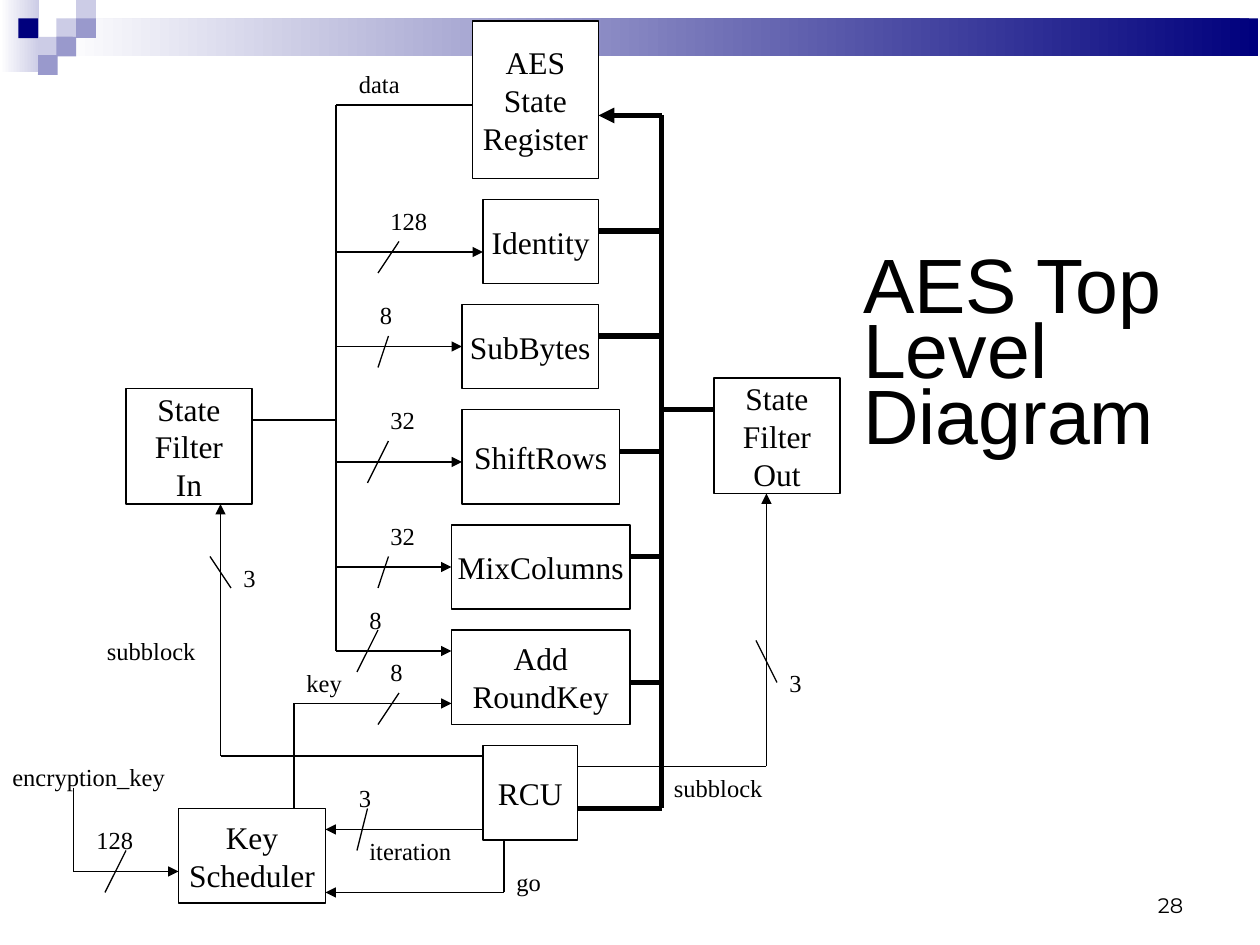
from dataclasses import dataclass
from itertools import pairwise

from pptx import Presentation
from pptx.dml.color import RGBColor
from pptx.enum.shapes import MSO_CONNECTOR, MSO_SHAPE
from pptx.enum.text import MSO_ANCHOR, MSO_AUTO_SIZE, PP_ALIGN
from pptx.oxml.ns import qn
from pptx.util import Emu, Pt
from lxml.etree import SubElement

EMU_PER_PX = 9525
BLACK, WHITE, NAVY = "000000", "FFFFFF", "00007D"
LILAC, VIOLET = "CCCCE6", "9999CC"
SERIF = "Times New Roman"
THIN, THICK = 0.75, 3
DATA_X, BUS_X = 256, 504


@dataclass(frozen=True)
class Tile:
    x: int
    y: int
    width: int
    height: int
    colors: tuple[str, ...]
    corner: float | None = None


@dataclass(frozen=True)
class Block:
    text: str
    x: int
    y: int
    width: int
    height: int


@dataclass(frozen=True)
class Label:
    text: str
    x: int
    y: int
    width: int


@dataclass(frozen=True)
class Wire:
    points: tuple[tuple[int, int], ...]
    arrow: bool = False
    weight: float = THIN


TILES = [
    Tile(0, 0, 30, 55, (LILAC, WHITE)),
    Tile(43, 14, 916, 29, (NAVY, WHITE), 0.006),
    Tile(43, 14, 15, 15, (LILAC,)),
    Tile(58, 0, 15, 15, (LILAC,), 0.012),
    Tile(58, 14, 15, 15, (VIOLET,)),
    Tile(29, 28, 15, 15, (LILAC,)),
    Tile(14, 14, 15, 15, (NAVY,), 0.012),
    Tile(43, 28, 15, 15, (VIOLET,), 0.012),
    Tile(29, 42, 15, 15, (VIOLET,), 0.012),
]

BLOCKS = [
    Block("AES\nState\nRegister", 360, 16, 96, 120),
    Block("Identity", 368, 152, 88, 64),
    Block("SubBytes", 352, 232, 104, 64),
    Block("ShiftRows", 352, 312, 120, 72),
    Block("MixColumns", 344, 400, 136, 64),
    Block("Add\nRoundKey", 344, 480, 136, 72),
    Block("RCU", 368, 568, 72, 72),
    Block("Key\nScheduler", 136, 616, 112, 72),
    Block("State\nFilter\nIn", 96, 296, 96, 88),
    Block("State\nFilter\nOut", 544, 288, 96, 88),
]

DATA_TAPS = [(368, 192), (352, 264), (352, 352), (344, 432)]
BUS_TAPS = [(456, 176), (456, 256), (544, 312), (472, 344), (480, 424)]
SLASHES = [
    ((304, 184), (288, 208)), ((296, 256), (288, 280)), ((296, 336), (280, 368)),
    ((296, 424), (288, 448)), ((288, 480), (272, 512)), ((304, 528), (288, 552)),
    ((280, 616), (272, 648)), ((96, 648), (80, 680)), ((160, 424), (176, 448)),
    ((576, 488), (592, 520)),
]

WIRES = [
    Wire(((360, 80), (DATA_X, 80), (DATA_X, 496), (344, 496)), True),
    *(Wire(((DATA_X, y), (x, y)), True) for x, y in DATA_TAPS),
    Wire(((192, 320), (DATA_X, 320))),
    Wire(((368, 576), (168, 576), (168, 384)), True),
    Wire(((440, 584), (584, 584), (584, 376)), True),
    Wire(((368, 632), (248, 632)), True),
    Wire(((384, 640), (384, 680), (248, 680)), True),
    Wire(((56, 600), (56, 664), (136, 664)), True),
    Wire(((224, 616), (224, 536), (344, 536)), True),
    Wire(((480, 520), (BUS_X, 520), (BUS_X, 88), (456, 88)), True, THICK),
    Wire(((440, 616), (BUS_X, 616), (BUS_X, 520)), False, THICK),
    *(Wire(((x, y), (BUS_X, y)), False, THICK) for x, y in BUS_TAPS),
    *(Wire(slash) for slash in SLASHES),
]

LABELS = [
    Label("data", 264, 48, 88),
    Label("128", 288, 152, 56),
    Label("8", 280, 224, 40),
    Label("32", 288, 304, 40),
    Label("32", 288, 392, 40),
    Label("8", 272, 456, 40),
    Label("8", 288, 496, 32),
    Label("key", 224, 504, 56),
    Label("3", 176, 424, 40),
    Label("subblock", 72, 480, 96),
    Label("3", 592, 504, 40),
    Label("subblock", 504, 584, 96),
    Label("encryption_key", 0, 576, 200),
    Label("128", 64, 624, 56),
    Label("3", 264, 592, 32),
    Label("iteration", 272, 632, 112),
    Label("go", 384, 656, 48),
]


def px(*lengths: int) -> list[Emu]:
    return [Emu(length * EMU_PER_PX) for length in lengths]


def color(value: str) -> RGBColor:
    return RGBColor.from_string(value)


def set_attributes(target, values: dict) -> None:
    for name, value in values.items():
        setattr(target, name, value)


def write_text(shape, text: str, font: str, size: int, frame: dict, paragraphs: dict) -> None:
    shape.text_frame.text = text
    set_attributes(shape.text_frame, frame)
    for paragraph in shape.text_frame.paragraphs:
        set_attributes(paragraph, paragraphs)
        for run in paragraph.runs:
            set_attributes(run.font, {"name": font, "size": Pt(size)})
            run.font.color.rgb = color(BLACK)


def draw_tile(slide, tile: Tile) -> None:
    kind = MSO_SHAPE.RECTANGLE if tile.corner is None else MSO_SHAPE.ROUNDED_RECTANGLE
    shape = slide.shapes.add_shape(kind, *px(tile.x, tile.y, tile.width, tile.height))
    shape.shadow.inherit = False
    shape.line.fill.background()
    if tile.corner is not None:
        shape.adjustments[0] = tile.corner
    if len(tile.colors) == 1:
        shape.fill.solid()
        shape.fill.fore_color.rgb = color(tile.colors[0])
    else:
        shape.fill.gradient()
        shape.fill.gradient_angle = 180
        for stop, value in zip(shape.fill.gradient_stops, tile.colors):
            stop.color.rgb = color(value)


def draw_block(slide, block: Block) -> None:
    shape = slide.shapes.add_shape(
        MSO_SHAPE.RECTANGLE, *px(block.x, block.y, block.width, block.height))
    shape.shadow.inherit = False
    shape.fill.solid()
    shape.fill.fore_color.rgb = color(WHITE)
    shape.line.color.rgb = color(BLACK)
    shape.line.width = Pt(THIN)
    write_text(shape, block.text, SERIF, 18,
               {"word_wrap": False, "vertical_anchor": MSO_ANCHOR.MIDDLE},
               {"alignment": PP_ALIGN.CENTER})


def draw_wire(slide, wire: Wire) -> None:
    """Draw one connector per segment, with any arrowhead on the last."""
    for start, end in pairwise(wire.points):
        connector = slide.shapes.add_connector(MSO_CONNECTOR.STRAIGHT, *px(*start, *end))
        connector.line.color.rgb = color(BLACK)
        connector.line.width = Pt(wire.weight)
        properties = connector.element.spPr
        if wire.arrow and end == wire.points[-1]:
            SubElement(properties.find(qn("a:ln")), qn("a:tailEnd"), type="triangle")
        SubElement(properties, qn("a:effectLst"))


def draw_label(slide, label: Label) -> None:
    shape = slide.shapes.add_textbox(*px(label.x, label.y, label.width, 33))
    write_text(shape, label.text, SERIF, 14,
               {"word_wrap": True, "auto_size": MSO_AUTO_SIZE.SHAPE_TO_FIT_TEXT},
               {"space_before": Pt(8.8)})


def main() -> None:
    presentation = Presentation()
    presentation.slide_width, presentation.slide_height = px(960, 720)
    slide = presentation.slides.add_slide(presentation.slide_layouts[5])

    title = slide.shapes.title
    set_attributes(title, dict(zip(("left", "top", "width", "height"), px(648, 48, 352, 451))))
    write_text(title, "AES Top Level Diagram", "Arial", 44,
               {"word_wrap": True, "auto_size": MSO_AUTO_SIZE.NONE,
                "vertical_anchor": MSO_ANCHOR.MIDDLE},
               {"alignment": PP_ALIGN.LEFT, "line_spacing": 0.71})

    for draw, items in ((draw_tile, TILES), (draw_block, BLOCKS),
                        (draw_wire, WIRES), (draw_label, LABELS)):
        for item in items:
            draw(slide, item)

    page_number = slide.shapes.add_textbox(*px(688, 672, 223, 32))
    write_text(page_number, "28", "Montserrat", 12,
               {"word_wrap": True, "vertical_anchor": MSO_ANCHOR.BOTTOM},
               {"alignment": PP_ALIGN.RIGHT})
    presentation.save("out.pptx")


if __name__ == "__main__":
    main()
